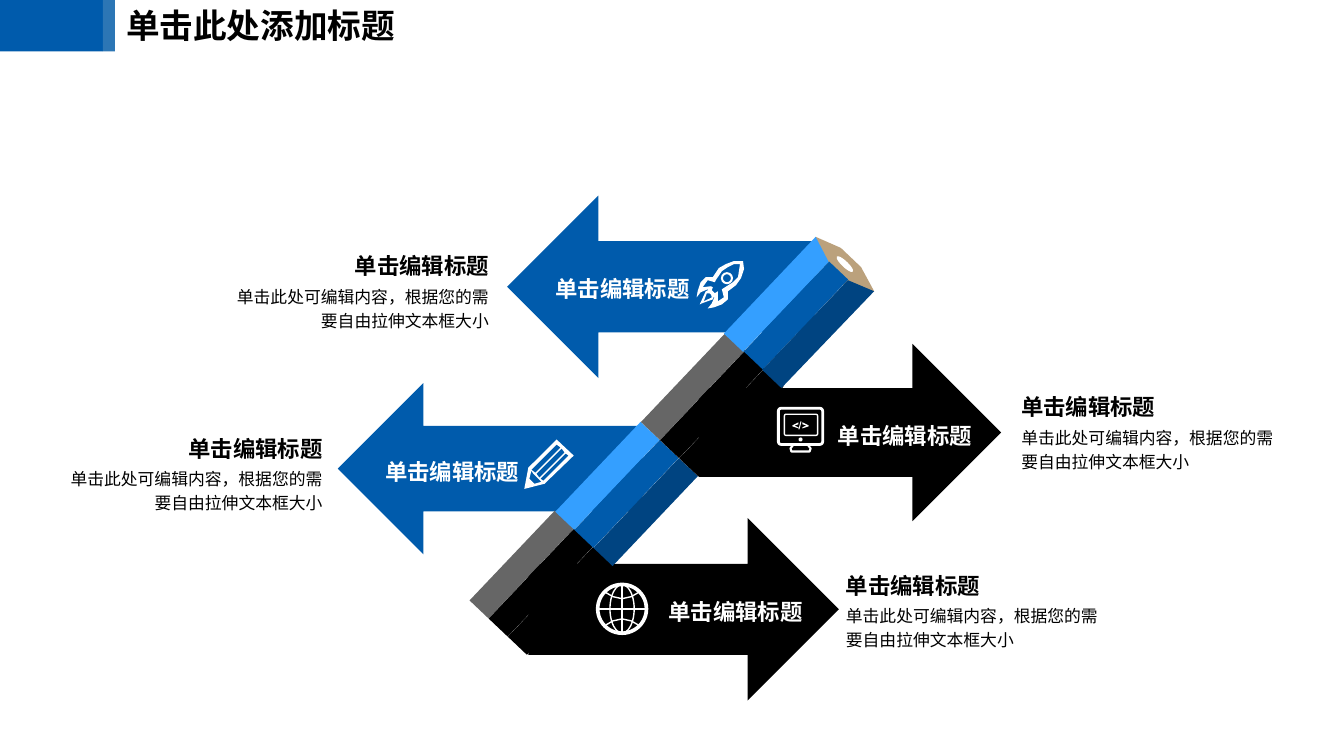
from dataclasses import dataclass

from lxml import etree
from pptx import Presentation
from pptx import util as u
from pptx.dml.color import RGBColor
from pptx.enum import lang, shapes, text
from pptx.oxml.ns import qn

PX = 9144  # EMU per px, 100 px to the inch
SHAPE = shapes.MSO_SHAPE
LEFT, RIGHT = text.PP_ALIGN.LEFT, text.PP_ALIGN.RIGHT


@dataclass(frozen=True)
class Theme:
    black: str = "000000"
    white: str = "FFFFFF"
    grey: str = "666666"
    blue: str = "005BAC"
    light_blue: str = "349FFF"
    dark_blue: str = "004481"
    accent: str = "2C76B5"
    wood: str = "BBA17C"
    font: str = "Arial"
    cjk_font: str = "Noto Sans CJK SC"
    title_size: int = 24
    heading_size: int = 16
    body_size: int = 12


@dataclass(frozen=True)
class Box:
    x: int
    y: int
    w: int
    h: int

    def emu(self) -> tuple[int, ...]:
        return tuple(v * PX for v in (self.x, self.y, self.w, self.h))


@dataclass(frozen=True)
class Arrow:
    box: Box
    color: str
    rotation: int
    label: tuple[int, int]
    caption_edge: int  # the edge the caption is aligned to
    caption_y: int


@dataclass(frozen=True)
class Segment:
    x: int
    y: int
    colors: tuple[str, str, str]


Points = list[tuple[int, int]]
T = Theme()
HEADING = "单击编辑标题"
BODY = "单击此处可编辑内容，根据您的需要自由拉伸文本框大小"
BLUES = (T.light_blue, T.blue, T.dark_blue)
BLACKS = (T.grey, T.black, T.black)
PENCIL_ANGLE = 313.5

ARROWS = [
    Arrow(Box(524, 514, 308, 181), T.black, 180, (654, 588), 839, 562),
    Arrow(Box(693, 341, 300, 176), T.black, 180, (822, 413), 1013, 385),
    Arrow(Box(503, 194, 305, 181), T.blue, 0, (542, 268), 485, 245),
    Arrow(Box(335, 380, 302, 170), T.blue, 0, (373, 449), 320, 426),
]
SEGMENTS = [Segment(456, 547, BLACKS), Segment(541, 459, BLUES), Segment(626, 370, BLACKS)]

prs = Presentation()
prs.slide_width, prs.slide_height = 1333 * PX, 750 * PX
s = prs.slides.add_slide(prs.slide_layouts[5])


def paint(sp, fill: str | None, line: str | None = None, width: float = 1) -> None:
    sp.shadow.inherit = False
    if fill:
        sp.fill.solid()
        sp.fill.fore_color.rgb = RGBColor.from_string(fill)
    else:
        sp.fill.background()
    if line:
        sp.line.color.rgb = RGBColor.from_string(line)
        sp.line.width = u.Pt(width)
    else:
        sp.line.fill.background()


def add_preset(kind, box: Box, fill: str | None, rotation: float = 0,
               adjust: float | None = None, **outline):
    sp = s.shapes.add_shape(kind, *box.emu())
    sp.rotation = rotation
    if adjust is not None:
        sp.adjustments[0] = adjust
    paint(sp, fill, **outline)
    return sp


def add_outline(contours: list[Points], fill: str | None, close: bool = True, **outline):
    builder = s.shapes.build_freeform(*contours[0][0], scale=float(PX))
    for i, points in enumerate(contours):
        if i:
            builder.move_to(*points[0])
        builder.add_line_segments(points[1:], close=close)
    sp = builder.convert_to_shape()
    paint(sp, fill, **outline)
    return sp


def add_line(x1: int, y1: int, x2: int, y2: int, color: str, width: float) -> None:
    line = s.shapes.add_connector(shapes.MSO_CONNECTOR.STRAIGHT, *(v * PX for v in (x1, y1, x2, y2)))
    line.line.color.rgb = RGBColor.from_string(color)
    line.line.width = u.Pt(width)
    etree.SubElement(line._element.spPr, qn("a:effectLst"))


def write(sp, content: str, *, size: int, color: str = T.black, bold: bool = False,
          align=LEFT, font: str = T.font, spacing: float = 1.2, before: float = 0.2,
          side_inset: int = 0, anchor=text.MSO_ANCHOR.TOP) -> None:
    tf = sp.text_frame
    tf.word_wrap = True
    tf.auto_size = text.MSO_AUTO_SIZE.NONE
    tf.vertical_anchor = anchor
    tf.margin_left = tf.margin_right = side_inset * PX
    tf.margin_top = tf.margin_bottom = 0
    p = tf.paragraphs[0]
    p.alignment, p.line_spacing, p.space_before = align, spacing, u.Pt(size * before)
    r = p.add_run()
    r.text = content
    r.font.name, r.font.size, r.font.bold = font, u.Pt(size), bold
    r.font.color.rgb = RGBColor.from_string(color)
    r.font.language_id = lang.MSO_LANGUAGE_ID.SIMPLIFIED_CHINESE
    etree.SubElement(r.font._element, qn("a:ea"), typeface=T.cjk_font)


def add_text(box: Box, content: str, **fmt) -> None:
    write(s.shapes.add_textbox(*box.emu()), content, **fmt)


# Title bar
add_preset(SHAPE.RECTANGLE, Box(0, 0, 102, 51), T.blue)
add_preset(SHAPE.RECTANGLE, Box(102, 0, 12, 51), T.accent)
title = s.shapes.title
title.left, title.top, title.width, title.height = Box(115, 0, 301, 50).emu()
write(title, "单击此处添加标题", size=T.title_size, bold=True, font=T.cjk_font,
      spacing=1.0, before=0, side_inset=10, anchor=text.MSO_ANCHOR.MIDDLE)

# Arrows behind the pencil
for arrow in ARROWS:
    add_preset(SHAPE.LEFT_ARROW, arrow.box, arrow.color, arrow.rotation)

# Pencil shaft: three facets for each segment
for seg in SEGMENTS:
    for i, color in enumerate(seg.colors):
        add_preset(SHAPE.RECTANGLE, Box(seg.x + 19 * i, seg.y + 18 * i, 123, 26), color, PENCIL_ANGLE)

# Pencil tip
add_outline([[(812, 260), (809, 235), (834, 246), (854, 265), (867, 289), (841, 288)]], T.wood)
add_outline([[(822, 260), (809, 235), (718, 331), (737, 349)]], T.light_blue)
add_preset(SHAPE.RECTANGLE, Box(728, 300, 123, 26), T.blue, PENCIL_ANGLE)
add_outline([[(867, 289), (841, 278), (756, 367), (775, 385)]], T.dark_blue)
add_preset(SHAPE.OVAL, Box(835, 251, 6, 22), T.white, PENCIL_ANGLE)

# Globe icon
add_preset(SHAPE.DONUT, Box(591, 578, 52, 52), T.white, adjust=0.07)
add_preset(SHAPE.OVAL, Box(605, 580, 24, 48), None, line=T.white)
add_line(617, 580, 617, 628, T.white, 1)
add_line(593, 604, 641, 604, T.white, 1)
parallel = [(601, 588), (608, 592), (617, 594), (626, 592), (633, 588)]
for curve in (parallel, [(x, 1208 - y) for x, y in parallel]):
    add_outline([curve], None, close=False, line=T.white)

# Monitor icon
add_preset(SHAPE.ROUNDED_RECTANGLE, Box(772, 405, 44, 36), None, adjust=0.08, line=T.white, width=2)
add_preset(SHAPE.ROUNDED_RECTANGLE, Box(778, 411, 33, 21), None, adjust=0.08, line=T.white)
add_preset(SHAPE.OVAL, Box(792, 434, 4, 4), T.white)
add_outline([[(787, 441), (784, 445), (785, 448), (803, 448), (804, 445), (801, 441)]],
            None, close=False, line=T.white, width=1.5)
bracket = [(786, 423), (792, 425), (792, 424), (788, 422), (792, 421), (792, 419), (786, 422)]
slash = [(794, 418), (795, 418), (793, 426), (792, 426)]
add_outline([bracket, slash, [(1588 - x, y) for x, y in bracket]], T.white)

# Pencil icon
add_outline([
    [(569, 452), (552, 436), (524, 464), (520, 485), (540, 480)],
    [(539, 477), (536, 475), (561, 450), (564, 452)],
    [(530, 480), (525, 475), (527, 467), (529, 470), (535, 476), (537, 478)],
    [(560, 449), (535, 474), (532, 470), (557, 445)],
    [(552, 441), (556, 444), (531, 469), (527, 466)],
], T.white)

# Rocket icon: body, window, flame
add_outline([
    [(691, 295), (692, 289), (695, 280), (700, 275), (707, 275), (713, 266), (720, 262),
     (728, 259), (737, 259), (738, 267), (735, 276), (730, 283), (722, 289), (722, 297),
     (716, 302), (708, 305), (702, 306), (706, 301), (709, 294), (708, 295), (703, 290),
     (702, 287), (695, 290)],
    [(722, 265), (716, 269), (710, 278), (709, 280), (702, 278), (697, 285), (705, 284),
     (707, 285), (706, 288), (709, 291), (712, 289), (712, 299), (718, 295), (716, 287),
     (727, 280), (732, 275), (734, 262), (728, 262)],
], T.white)
add_preset(SHAPE.DONUT, Box(715, 270, 12, 12), T.white, adjust=0.17)
add_outline([
    [(694, 302), (700, 289), (704, 287), (707, 290), (708, 294), (707, 297), (696, 301)],
    [(705, 291), (701, 291), (698, 299), (706, 295)],
], T.white)

# Arrow labels and captions
for arrow in ARROWS:
    add_text(Box(*arrow.label, 142, 32), HEADING, size=T.heading_size, color=T.white,
             bold=True, align=RIGHT)
    align = LEFT if arrow.rotation else RIGHT
    for content, width, height, dy, size in ((HEADING, 142, 32, 0, T.heading_size),
                                             (BODY, 255, 48, 35, T.body_size)):
        x = arrow.caption_edge - (width if align == RIGHT else 0)
        add_text(Box(x, arrow.caption_y + dy, width, height), content, size=size,
                 bold=content == HEADING, align=align)

prs.save("out.pptx")
